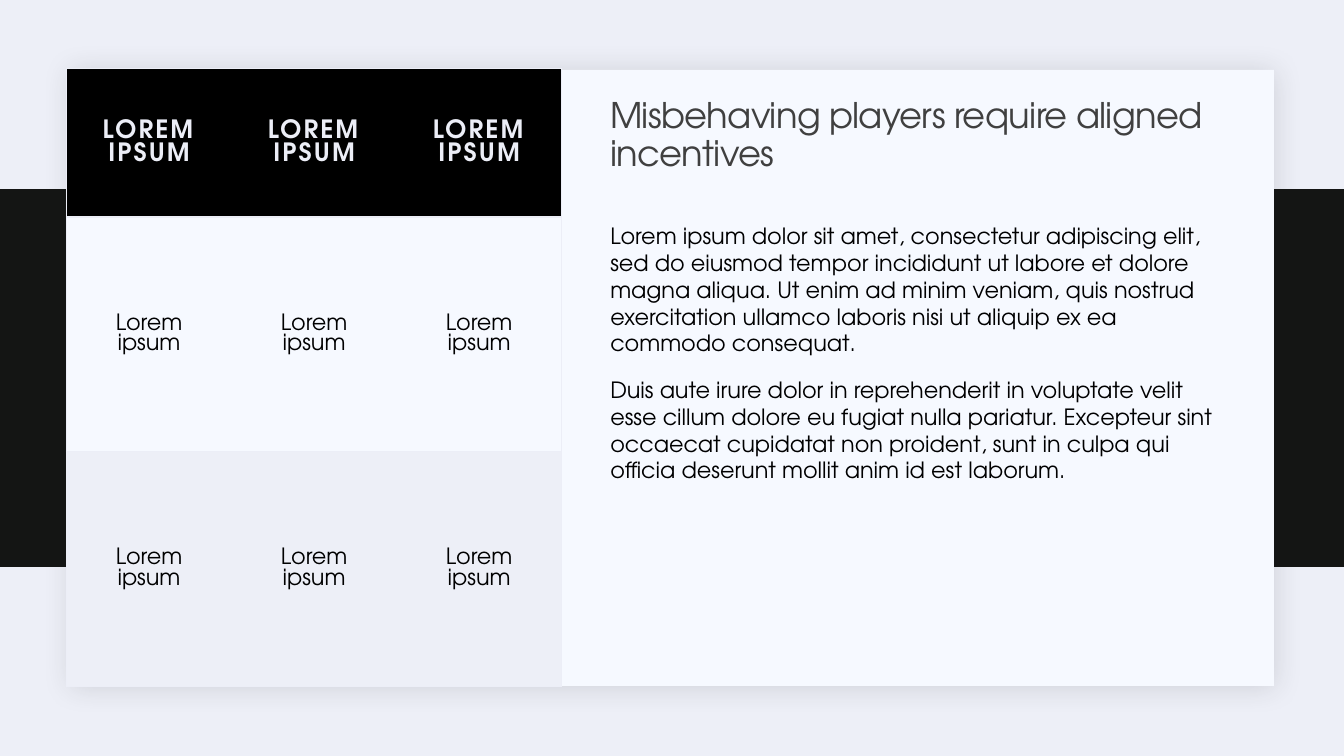
from lxml.etree import SubElement
from pptx import Presentation
from pptx.dml.color import RGBColor
from pptx.enum.shapes import MSO_SHAPE
from pptx.enum.text import MSO_ANCHOR, MSO_AUTO_SIZE, PP_ALIGN
from pptx.oxml import parse_xml
from pptx.oxml.ns import nsdecls, qn
from pptx.util import Pt

FONT = "TeX Gyre Adventor"
COLORS = {"page": "EDEFF7", "band": "141514", "panel": "F6F9FF", "shadow": "1F2125",
          "title": "404040", "text": "000000", "rule": "ECEEF7"}
TITLE = "Misbehaving players require aligned incentives"
BODY = [
    "Lorem ipsum dolor sit amet, consectetur adipiscing elit, sed do eiusmod tempor "
    "incididunt ut labore et dolore magna aliqua. Ut enim ad minim veniam, quis nostrud "
    "exercitation ullamco laboris nisi ut aliquip ex ea commodo consequat.",
    "Duis aute irure dolor in reprehenderit in voluptate velit esse cillum dolore eu fugiat "
    "nulla pariatur. Excepteur sint occaecat cupidatat non proident, sunt in culpa qui "
    "officia deserunt mollit anim id est laborum.",
]
ROWS = [["LOREM IPSUM"] * 3, ["Lorem ipsum"] * 3, ["Lorem ipsum"] * 3]
ROW_FILLS = ["text", "panel", "page"]


def rgb(name):
    return RGBColor.from_string(COLORS[name])


def style(p, size, color, bold=False, spacing=0):
    p.font.name, p.font.size, p.font.bold = FONT, Pt(size), bold
    p.font.color.rgb = rgb(color)
    for r in p.runs:
        r.font._element.set("spc", str(int(spacing * 100)))


def place(s, x, y, w, h):
    s.left, s.top, s.width, s.height = Pt(x), Pt(y), Pt(w), Pt(h)


def add_block(slide, x, y, w, h, color):
    s = slide.shapes.add_shape(MSO_SHAPE.RECTANGLE, Pt(x), Pt(y), Pt(w), Pt(h))
    s.shadow.inherit = False
    s.fill.solid()
    s.fill.fore_color.rgb = rgb(color)
    s.line.fill.background()
    return s


def add_backdrop(slide, x, y, w, h):
    """Dark band across the slide with the shadowed panel in the given box."""
    band = add_block(slide, 0, y + 85, 960, 270, "band")
    panel = add_block(slide, x, y, w, h, "panel")
    effects = panel._element.spPr.find(qn("a:effectLst"))
    effects.append(parse_xml(
        f'<a:outerShdw {nsdecls("a")} blurRad="{Pt(20)}" dist="{Pt(2)}" dir="2700000" '
        f'algn="tl" rotWithShape="0"><a:srgbClr val="{COLORS["shadow"]}">'
        '<a:alpha val="15000"/></a:srgbClr></a:outerShdw>'))
    # Send both behind the placeholders
    for s in (panel, band):
        slide.shapes._spTree.insert(2, s._element)


def fill_text(slide, x, y, w, h):
    """Title at the top of the box, body text below it."""
    title, body = slide.placeholders[0], slide.placeholders[1]
    place(title, x, y, w, 46)
    place(body, x, y + 81, w, h - 81)
    for s in (title, body):
        s.text_frame.word_wrap = True
        s.text_frame.auto_size = MSO_AUTO_SIZE.NONE

    # Title
    tf = title.text_frame
    tf.text = TITLE
    tf.vertical_anchor = MSO_ANCHOR.MIDDLE
    p = tf.paragraphs[0]
    p.alignment, p.line_spacing = PP_ALIGN.LEFT, 0.9
    style(p, 25.2, "title", spacing=-0.5)

    # Body
    tf = body.text_frame
    tf.margin_left = tf.margin_right = 0
    tf.text = "\n".join(BODY)
    for p in tf.paragraphs:
        p.space_before, p.space_after = Pt(12), Pt(2)
        style(p, 16, "text")
        pPr = p._p.get_or_add_pPr()
        pPr.set("marL", str(Pt(7.2)))
        pPr.set("indent", "0")
        pPr.insert_element_before(parse_xml(f'<a:buNone {nsdecls("a")}/>'),
                                  "a:tabLst", "a:defRPr", "a:extLst")


def set_borders(cell, ruled):
    """Rule the given sides (L, R, T, B) and clear the others."""
    tcPr = cell._tc.get_or_add_tcPr()
    for i, side in enumerate("LRTB"):
        ln = SubElement(tcPr, qn(f"a:ln{side}"), w=str(Pt(1)))
        tcPr.insert(i, ln)
        if side in ruled:
            fill = SubElement(ln, qn("a:solidFill"))
            SubElement(fill, qn("a:srgbClr"), val=COLORS["rule"])
        else:
            SubElement(ln, qn("a:noFill"))


def add_grid(slide, x, y, w, h):
    """Table with a dark header row and equal columns."""
    n = len(ROWS[0])
    table = slide.shapes.add_table(len(ROWS), n, Pt(x), Pt(y), Pt(w), Pt(h)).table
    table.first_row = table.horz_banding = False
    header = 106
    for col in table.columns:
        col.width = Pt(w / n)
    for i, row in enumerate(table.rows):
        row.height = Pt(header if i == 0 else (h - header) / (len(ROWS) - 1))
        for j, cell in enumerate(row.cells):
            cell.text = ROWS[i][j]
            cell.vertical_anchor = MSO_ANCHOR.MIDDLE
            cell.margin_left = cell.margin_right = Pt(18)
            cell.margin_top = cell.margin_bottom = Pt(18)
            cell.fill.solid()
            cell.fill.fore_color.rgb = rgb(ROW_FILLS[i])
            set_borders(cell, "TB" + "L" * (j == 0) + "R" * (j == n - 1))
            p = cell.text_frame.paragraphs[0]
            p.alignment = PP_ALIGN.CENTER
            if i == 0:
                style(p, 18, "rule", bold=True, spacing=1.5)
            else:
                style(p, 16, "text")


def main():
    prs = Presentation()
    prs.slide_width, prs.slide_height = Pt(960), Pt(540)
    slide = prs.slides.add_slide(prs.slide_layouts[1])
    slide.background.fill.solid()
    slide.background.fill.fore_color.rgb = rgb("page")
    add_backdrop(slide, 50, 50, 860, 440)
    fill_text(slide, 428.7, 74, 450, 391.7)
    add_grid(slide, 47.5, 49, 353.7, 441.5)
    prs.save("out.pptx")


if __name__ == "__main__":
    main()
